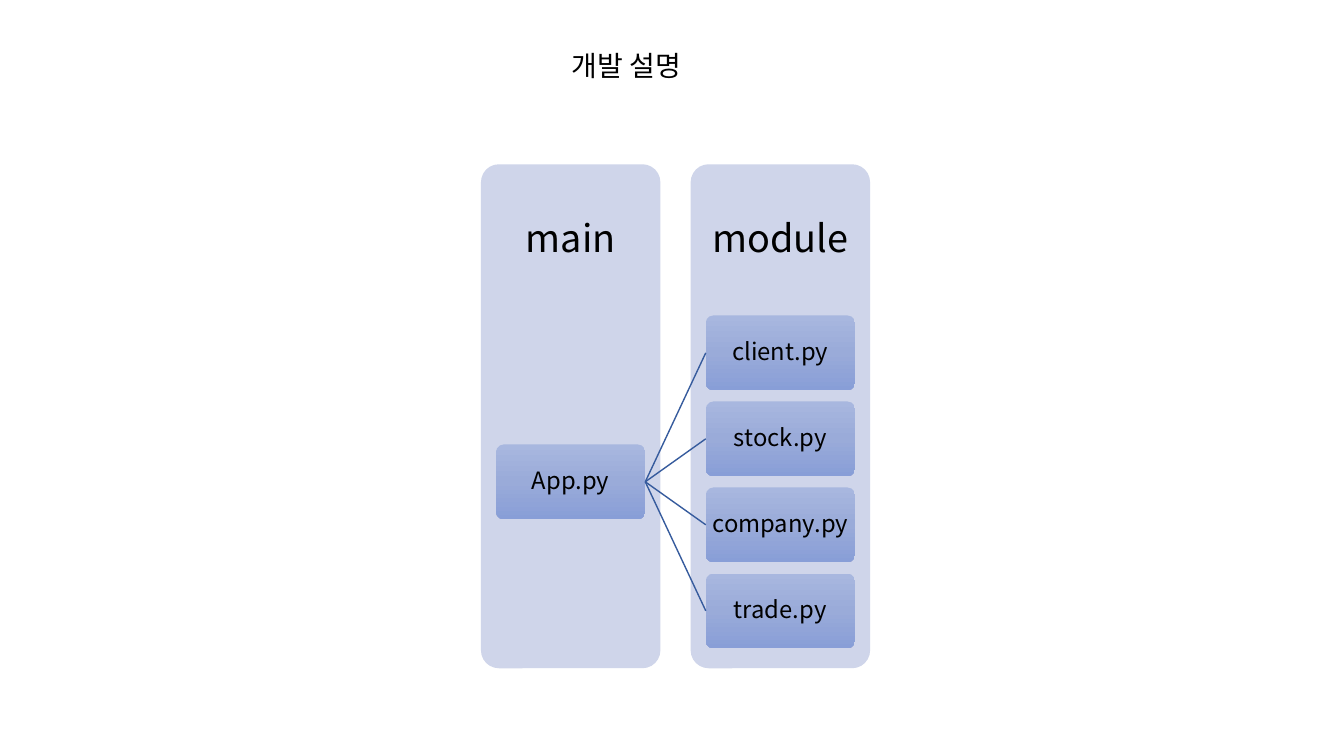
from copy import deepcopy
from dataclasses import dataclass

from lxml.etree import SubElement
from pptx import Presentation
from pptx.dml.color import RGBColor
from pptx.enum.shapes import MSO_CONNECTOR, MSO_SHAPE
from pptx.enum.text import MSO_ANCHOR, MSO_AUTO_SIZE, PP_ALIGN
from pptx.oxml.ns import qn
from pptx.util import Inches, Pt


@dataclass(frozen=True)
class Theme:
    font: str = "Noto Sans CJK KR"
    ink: str = "000000"
    panel: str = "CFD5EA"
    tile: tuple = ("A8B7DF", "9AABD9", "889ED7")
    line: str = "365B9D"
    title: int = 20
    head: int = 27
    label: int = 17


THEME = Theme()
TILE_W, TILE_H = 1.48, 0.74
HEAD_H = 1.5


def rgb(code):
    return RGBColor.from_string(code)


def write(frame, text, size, align, pad):
    """Fill a text frame with one run; pad is the side and top inset."""
    frame.word_wrap = True
    frame.margin_left = frame.margin_right = Inches(pad[0])
    frame.margin_top = frame.margin_bottom = Inches(pad[1])
    para = frame.paragraphs[0]
    para.alignment = align
    run = para.add_run()
    run.text = text
    font = run.font
    font.name, font.size = THEME.font, Pt(size)
    font.color.rgb = rgb(THEME.ink)
    SubElement(run._r.get_or_add_rPr(), qn("a:ea"), typeface=THEME.font)


def center(frame, text, size, pad):
    write(frame, text, size, PP_ALIGN.CENTER, pad)
    frame.vertical_anchor = MSO_ANCHOR.MIDDLE
    frame.paragraphs[0].line_spacing = 0.9


def add_title(slide, text, x, y, w, h):
    title = slide.shapes.title
    title.left, title.top = Inches(x), Inches(y)
    title.width, title.height = Inches(w), Inches(h)
    frame = title.text_frame
    write(frame, text, THEME.title, PP_ALIGN.JUSTIFY, (0.1, 0.05))
    frame.vertical_anchor = MSO_ANCHOR.TOP
    frame.auto_size = MSO_AUTO_SIZE.NONE


def add_round(slide, x, y, w, h):
    box = slide.shapes.add_shape(
        MSO_SHAPE.ROUNDED_RECTANGLE, Inches(x), Inches(y), Inches(w), Inches(h))
    box.adjustments[0] = 0.1
    box.shadow.inherit = False
    box.line.fill.background()
    return box


def add_tile(slide, text, x, y):
    tile = add_round(slide, x, y, TILE_W, TILE_H)
    fill = tile.fill
    fill.gradient()
    fill.gradient_angle = 270
    stops = tile._element.spPr.find(qn("a:gradFill")).find(qn("a:gsLst"))
    stops.insert(1, deepcopy(stops[0]))
    for stop, code, place in zip(fill.gradient_stops, THEME.tile, (0, 0.5, 1)):
        stop.color.rgb = rgb(code)
        stop.position = place
    center(tile.text_frame, text, THEME.label, (0.01, 0.01))
    return tile


def add_panel(slide, head, names, x, y, w, h):
    """Draw a headed panel and return its tiles, spread evenly or centred."""
    panel = add_round(slide, x, y, w, h)
    panel.fill.solid()
    panel.fill.fore_color.rgb = rgb(THEME.panel)
    label = slide.shapes.add_textbox(
        Inches(x), Inches(y), Inches(w), Inches(HEAD_H))
    center(label.text_frame, head, THEME.head, (0.1, 0.21))
    room = h - HEAD_H - 0.2 - TILE_H
    count = len(names)
    spots = [i / (count - 1) for i in range(count)] if count > 1 else [0.5]
    return [add_tile(slide, name, x + (w - TILE_W) / 2, y + HEAD_H + room * spot)
            for name, spot in zip(names, spots)]


def join(slide, start, end):
    wire = slide.shapes.add_connector(MSO_CONNECTOR.STRAIGHT, 0, 0, 0, 0)
    wire.begin_connect(start, 3)
    wire.end_connect(end, 1)
    wire.line.color.rgb = rgb(THEME.line)
    wire.line.width = Pt(1)
    SubElement(wire._element.spPr, qn("a:effectLst"))


def add_chart_of_code(slide, x, y, w, h):
    """Place the two panels in the box and join the main file to each module."""
    wide, step = 1.78, w - 1.78
    parts = add_panel(
        slide, "module", ["client.py", "stock.py", "company.py", "trade.py"],
        x + step, y, wide, h)
    app, = add_panel(slide, "main", ["App.py"], x, y, wide, h)
    for part in parts:
        join(slide, app, part)


def main():
    deck = Presentation()
    deck.slide_width, deck.slide_height = Inches(13.33), Inches(7.5)
    slide = deck.slides.add_slide(deck.slide_layouts[5])
    add_title(slide, "개발 설명", 5.57, 0.43, 2.2, 0.44)
    add_chart_of_code(slide, 4.77, 1.63, 3.86, 5)
    deck.save("out.pptx")


if __name__ == "__main__":
    main()
